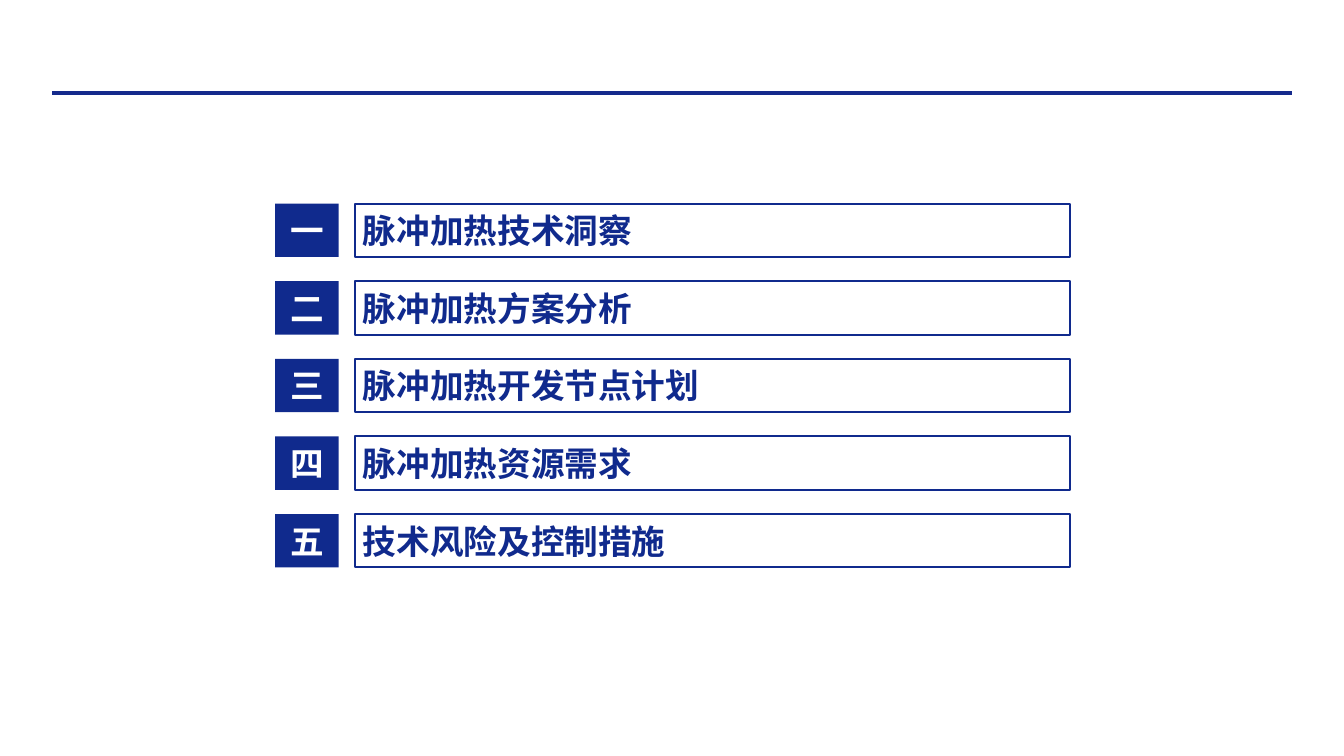
"""Build an agenda slide with five numbered sections."""
from lxml import etree
from pptx import Presentation, util as u
from pptx.dml.color import RGBColor
from pptx.enum import shapes, text
from pptx.oxml.ns import qn

NAVY = RGBColor(0x10, 0x2A, 0x8D)
RULE_BLUE = RGBColor(0x15, 0x2A, 0x8C)
WHITE = RGBColor(0xFF, 0xFF, 0xFF)
FONT = "Noto Sans CJK SC"

FIRST_TOP = 2.02
ROW_STEP = 0.77
ROW_HEIGHT = 0.53

sections = [
    ("一", "脉冲加热技术洞察"),
    ("二", "脉冲加热方案分析"),
    ("三", "脉冲加热开发节点计划"),
    ("四", "脉冲加热资源需求"),
    ("五", "技术风险及控制措施"),
]

deck = Presentation()
deck.slide_width = u.Inches(13.33)
deck.slide_height = u.Inches(7.5)
agenda = deck.slides.add_slide(deck.slide_layouts[6])


def add_box(words, left, top, width, color, align, fill=None, outline=None):
    box = agenda.shapes.add_shape(
        shapes.MSO_SHAPE.RECTANGLE,
        u.Inches(left), u.Inches(top), u.Inches(width), u.Inches(ROW_HEIGHT))
    box.shadow.inherit = False
    if fill is None:
        box.fill.background()
    else:
        box.fill.solid()
        box.fill.fore_color.rgb = fill
    if outline is None:
        box.line.fill.background()
    else:
        box.line.color.rgb = outline
        box.line.width = u.Pt(1.5)
    frame = box.text_frame
    frame.word_wrap = True
    frame.vertical_anchor = text.MSO_ANCHOR.MIDDLE
    frame.margin_left = frame.margin_right = u.Inches(0.08)
    frame.margin_top = frame.margin_bottom = u.Inches(0.04)
    paragraph = frame.paragraphs[0]
    paragraph.alignment = align
    run = paragraph.add_run()
    run.text = words
    run.font.size = u.Pt(24)
    run.font.bold = True
    run.font.color.rgb = color
    run.font.name = FONT
    etree.SubElement(run._r.get_or_add_rPr(), qn("a:ea"), typeface=FONT)


header_rule = agenda.shapes.add_connector(
    shapes.MSO_CONNECTOR.STRAIGHT,
    u.Inches(0.52), u.Inches(0.92), u.Inches(12.81), u.Inches(0.92))
header_rule.line.color.rgb = RULE_BLUE
header_rule.line.width = u.Pt(3)
etree.SubElement(header_rule._element.spPr, qn("a:effectLst"))

for row, (numeral, title) in enumerate(sections):
    top = FIRST_TOP + row * ROW_STEP
    add_box(title, 3.52, top, 7.09, NAVY, text.PP_ALIGN.LEFT, outline=NAVY)
    add_box(numeral, 2.73, top, 0.63, WHITE, text.PP_ALIGN.CENTER, fill=NAVY)

deck.save("out.pptx")
